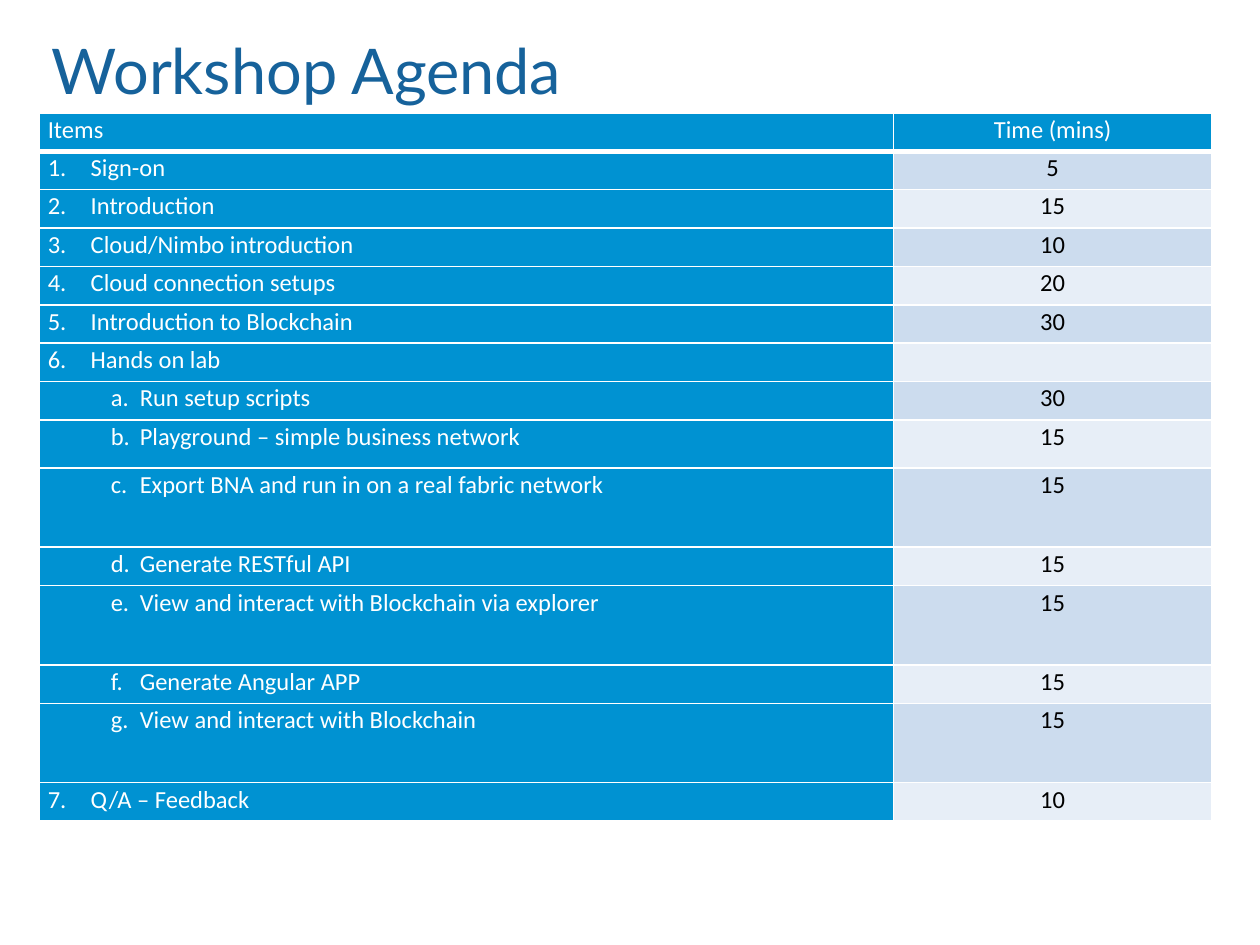
"""Build the workshop agenda slide with its timetable."""
from lxml.etree import SubElement
from pptx import Presentation
from pptx.dml.color import RGBColor
from pptx.enum.text import MSO_ANCHOR, PP_ALIGN
from pptx.oxml.ns import qn
from pptx.util import Inches, Pt

TITLE_BLUE = RGBColor(0x16, 0x62, 0x9B)
ITEM_BLUE = RGBColor(0x00, 0x92, 0xD2)
BAND_DARK = RGBColor(0xCC, 0xDC, 0xEE)
BAND_LIGHT = RGBColor(0xE7, 0xEE, 0xF7)
WHITE = RGBColor(0xFF, 0xFF, 0xFF)
BLACK = RGBColor(0x00, 0x00, 0x00)

REGULAR = Inches(0.61) // 2
MEDIUM = Inches(0.38)
TALL = Inches(0.63)
NUMBER, LETTER = "arabicPeriod", "alphaLcPeriod"

# numbering, position, item, minutes, row height
AGENDA = [
    (NUMBER, 1, "Sign-on", "5", REGULAR),
    (NUMBER, 2, "Introduction", "15", REGULAR),
    (NUMBER, 3, "Cloud/Nimbo introduction", "10", REGULAR),
    (NUMBER, 4, "Cloud connection setups", "20", REGULAR),
    (NUMBER, 5, "Introduction to Blockchain", "30", REGULAR),
    (NUMBER, 6, "Hands on lab", "", REGULAR),
    (LETTER, 1, "Run setup scripts", "30", REGULAR),
    (LETTER, 2, "Playground – simple business network", "15", MEDIUM),
    (LETTER, 3, "Export BNA and run in on a real fabric network", "15", TALL),
    (LETTER, 4, "Generate RESTful API", "15", REGULAR),
    (LETTER, 5, "View and interact with Blockchain via explorer", "15", TALL),
    (LETTER, 6, "Generate Angular APP", "15", REGULAR),
    (LETTER, 7, "View and interact with Blockchain", "15", TALL),
    (NUMBER, 7, "Q/A – Feedback", "10", REGULAR),
]


def write(frame, text, size=14, font="Calibri", color=WHITE, align=PP_ALIGN.LEFT,
          spacing=None, numbering=None, start=1):
    para = frame.paragraphs[0]
    para.alignment = align
    if spacing:
        para.line_spacing = spacing
    if numbering:
        margin, hanging = (0.73, 0.23) if numbering == LETTER else (0.34, 0.34)
        para.level = 1 if numbering == LETTER else 0
        properties = para._p.get_or_add_pPr()
        properties.set("marL", str(Inches(margin)))
        properties.set("indent", str(-Inches(hanging)))
        SubElement(properties, qn("a:buAutoNum"), type=numbering, startAt=str(start))
    span = para.add_run()
    span.text = text
    span.font.size = Pt(size)
    span.font.name = font
    span.font.bold = False
    span.font.color.rgb = color


def style_cell(cell, fill, top=1, bottom=1):
    cell.margin_left = cell.margin_right = Inches(0.07)
    cell.margin_top = cell.margin_bottom = 0
    properties = cell._tc.get_or_add_tcPr()
    for side, width in (("L", 1), ("R", 1), ("T", top), ("B", bottom)):
        border = SubElement(properties, qn(f"a:ln{side}"), w=str(Pt(width)))
        paint = SubElement(border, qn("a:solidFill"))
        SubElement(paint, qn("a:srgbClr"), val=str(WHITE))
    cell.fill.solid()
    cell.fill.fore_color.rgb = fill


deck = Presentation()
deck.slide_width, deck.slide_height = Inches(10), Inches(7.5)
page = deck.slides.add_slide(deck.slide_layouts[5])

title = page.shapes.title
title.left, title.top = Inches(0.31), Inches(0.16)
title.width, title.height = Inches(9.31), Inches(0.74)
title.text_frame.vertical_anchor = MSO_ANCHOR.BOTTOM
write(title.text_frame, "Workshop Agenda", size=36, font="Lato", color=TITLE_BLUE)

table = page.shapes.add_table(len(AGENDA) + 1, 2, Inches(0.31), Inches(0.9),
                              Inches(9.31), Inches(5.61)).table
table.columns[0].width, table.columns[1].width = Inches(6.78), Inches(2.53)

table.rows[0].height = Inches(0.3)
for column, (heading, align) in enumerate([("Items", PP_ALIGN.LEFT),
                                           ("Time (mins)", PP_ALIGN.CENTER)]):
    header = table.cell(0, column)
    style_cell(header, ITEM_BLUE, bottom=3)
    write(header.text_frame, heading, align=align, spacing=1.07)

for row, (numbering, start, item, minutes, height) in enumerate(AGENDA, 1):
    table.rows[row].height = height
    item_cell, time_cell = table.cell(row, 0), table.cell(row, 1)
    top = 3 if row == 1 else 1
    style_cell(item_cell, ITEM_BLUE, top=top)
    style_cell(time_cell, BAND_DARK if row % 2 else BAND_LIGHT, top=top)
    write(item_cell.text_frame, item, spacing=1.07, numbering=numbering, start=start)
    write(time_cell.text_frame, minutes, color=BLACK, align=PP_ALIGN.CENTER, spacing=1.07)

deck.save("out.pptx")
